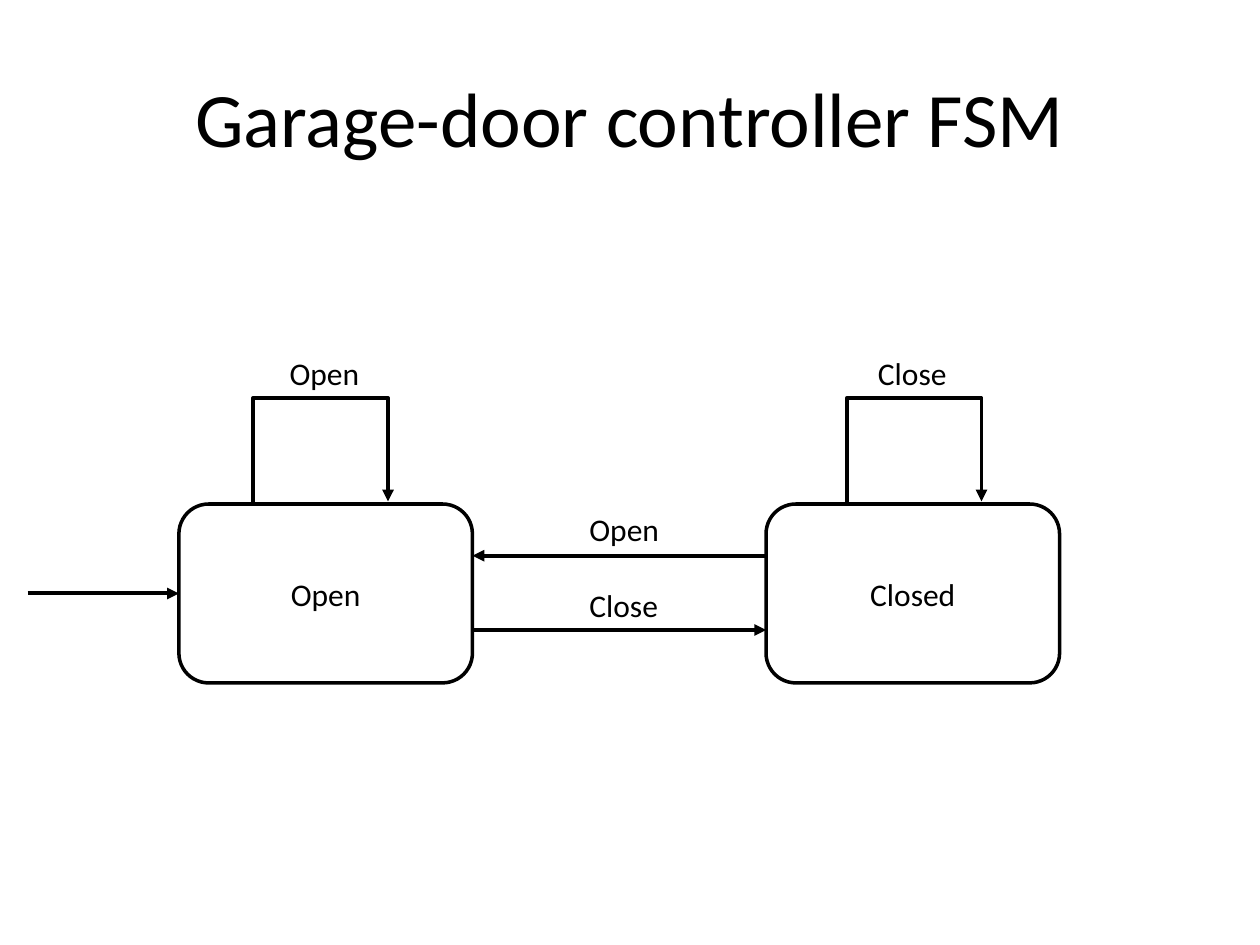
import lxml.etree
import pptx
import pptx.dml.color
import pptx.enum.shapes
import pptx.enum.text
import pptx.oxml.ns
import pptx.util

Inches = pptx.util.Inches
BLACK = "000000"


def write_text(shape, text, size, alignment):
    frame = shape.text_frame
    para = frame.paragraphs[0]
    para.alignment = alignment
    span = para.add_run()
    span.text = text
    span.font.name = "Calibri"
    span.font.size = pptx.util.Pt(size)
    span.font.color.rgb = pptx.dml.color.RGBColor.from_string(BLACK)
    return frame


def style_line(shape, width, arrow=False):
    """Draw a black line without shadow, with an arrowhead at its end if asked."""
    shape.line.color.rgb = pptx.dml.color.RGBColor.from_string(BLACK)
    shape.line.width = pptx.util.Pt(width)
    properties = shape._element.spPr
    if arrow:
        outline = properties.find(pptx.oxml.ns.qn("a:ln"))
        lxml.etree.SubElement(outline, pptx.oxml.ns.qn("a:tailEnd"), type="triangle")
    if properties.find(pptx.oxml.ns.qn("a:effectLst")) is None:
        lxml.etree.SubElement(properties, pptx.oxml.ns.qn("a:effectLst"))


deck = pptx.Presentation()
deck.slide_width = Inches(10)
deck.slide_height = Inches(7.5)
page = deck.slides.add_slide(deck.slide_layouts[6])
shapes = page.shapes
center = pptx.enum.text.PP_ALIGN.CENTER
left = pptx.enum.text.PP_ALIGN.LEFT
middle = pptx.enum.text.MSO_ANCHOR.MIDDLE
straight = pptx.enum.shapes.MSO_CONNECTOR.STRAIGHT

title = shapes.add_textbox(Inches(0.5), Inches(0.3), Inches(9), Inches(1.25))
frame = write_text(title, "Garage-door controller FSM", 44, center)
frame.word_wrap = True
frame.vertical_anchor = middle

# States, each with a loop back to itself
state_top, state_width, state_height = 4, 2.33, 1.42
loop_top, loop_width = 3.16, 1.07
open_left, closed_left = 1.42, 6.08
states = []
for name, state_left, loop_left in [("Open", open_left, 2.01), ("Closed", closed_left, 6.72)]:
    state = shapes.add_shape(
        pptx.enum.shapes.MSO_SHAPE.FLOWCHART_ALTERNATE_PROCESS,
        Inches(state_left), Inches(state_top), Inches(state_width), Inches(state_height))
    state.fill.background()
    state.shadow.inherit = False
    style_line(state, 2)
    write_text(state, name, 18, center).vertical_anchor = middle
    states.append(state)

    loop_right = loop_left + loop_width
    builder = shapes.build_freeform(Inches(loop_left), Inches(state_top))
    builder.add_line_segments(
        [(Inches(x), Inches(y)) for x, y in
         [(loop_left, loop_top), (loop_right, loop_top), (loop_right, state_top - 0.02)]],
        close=False)
    loop = builder.convert_to_shape()
    loop.fill.background()
    loop.shadow.inherit = False
    style_line(loop, 2.25, arrow=True)

# Transitions between the states
open_right = open_left + state_width
for start, end, y in [(open_right, closed_left, 5), (closed_left, open_right, 4.41)]:
    transition = shapes.add_connector(straight, Inches(start), Inches(y), Inches(end), Inches(y))
    style_line(transition, 2.25, arrow=True)

# Entry into the initial state
entry_y = Inches(state_top + state_height / 2)
entry = shapes.add_connector(straight, Inches(0.22), entry_y, Inches(open_left), entry_y)
entry.end_connect(states[0], 1)
style_line(entry, 2.25, arrow=True)

for text, x, y in [("Open", 2.2, 2.76), ("Close", 6.87, 2.76),
                   ("Close", 4.58, 4.6), ("Open", 4.58, 4)]:
    label = shapes.add_textbox(Inches(x), Inches(y), Inches(0.76), Inches(0.4))
    frame = write_text(label, text, 18, left)
    frame.word_wrap = False
    frame.auto_size = pptx.enum.text.MSO_AUTO_SIZE.SHAPE_TO_FIT_TEXT

deck.save("out.pptx")
